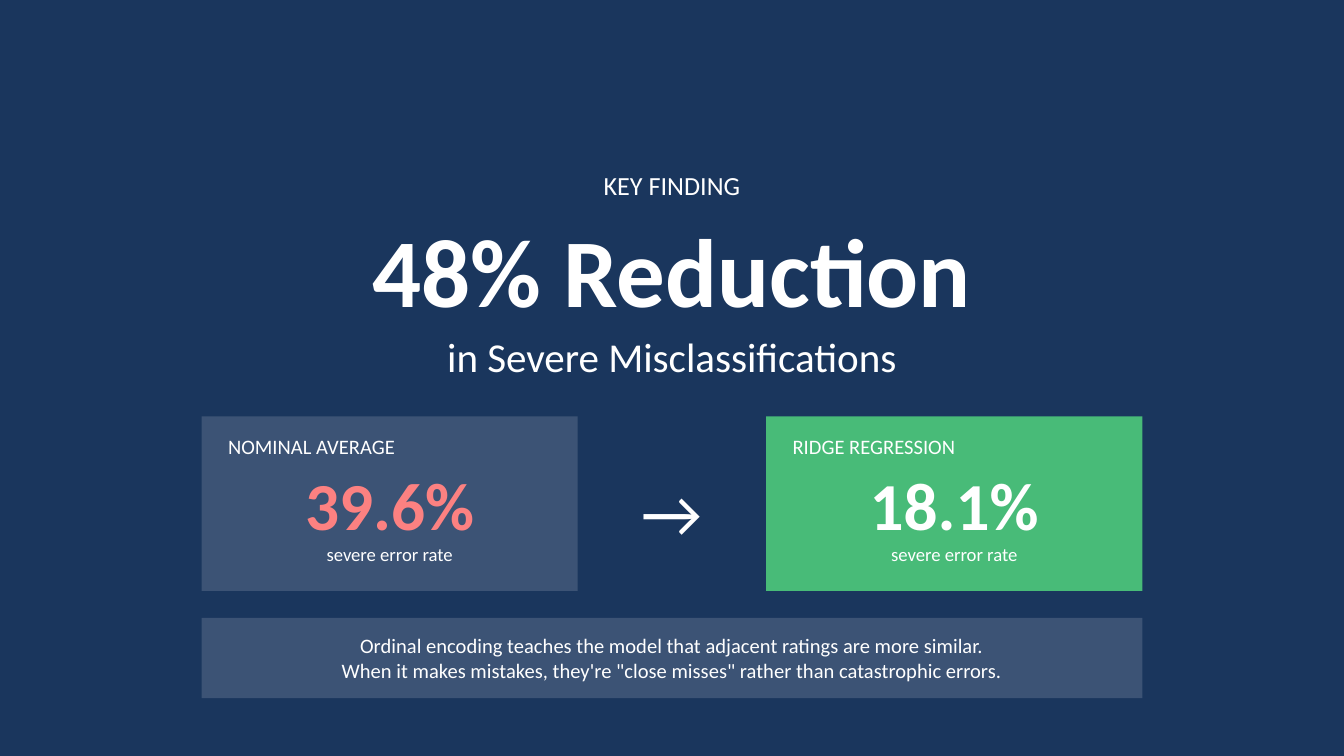
from lxml import etree
from pptx import Presentation
from pptx.dml.color import RGBColor
from pptx.enum.shapes import MSO_SHAPE
from pptx.enum.text import MSO_ANCHOR, MSO_AUTO_SIZE, PP_ALIGN
from pptx.oxml.ns import qn
from pptx.util import Cm, Pt

RECT = MSO_SHAPE.RECTANGLE
MIDDLE = MSO_ANCHOR.MIDDLE
NO_FIT = MSO_AUTO_SIZE.NONE
LEFT, CENTER = PP_ALIGN.LEFT, PP_ALIGN.CENTER

# Content
FONT = "Calibri"
COLORS = {"navy": "1A365D", "white": "FFFFFF", "red": "FC8181", "green": "48BB78"}
KICKER = "KEY FINDING"
TITLE = "48% Reduction"
SUBTITLE = "in Severe Misclassifications"
ARROW = "→"
# label, value, caption, value colour, fill colour, opacity in percent
CARDS = [
    ("NOMINAL AVERAGE", "39.6%", "severe error rate", "red", "white", 15),
    ("RIDGE REGRESSION", "18.1%", "severe error rate", "white", "green", 100),
]
EXPLANATION = [
    "Ordinal encoding teaches the model that adjacent ratings are more similar.",
    "When it makes mistakes, they're \"close misses\" rather than catastrophic errors.",
]

# Layout in centimetres
SLIDE_W, SLIDE_H = 25.4, 14.29
MARGIN = 1.27
HEAD_W = SLIDE_W - 2 * MARGIN
BAND_X, BAND_W = 3.81, 17.78
CARD_Y, CARD_W, CARD_H = 7.87, 7.11, 3.3
NOTE_Y, NOTE_H = 11.68, 1.52
PAD = 0.25
ARROW_W = 2.54


def rgb(name):
    return RGBColor.from_string(COLORS[name])


def write(sp, lines, size, color="white", bold=False, align=CENTER):
    tf = sp.text_frame
    tf.text = "\n".join(lines)
    tf.word_wrap = True
    tf.auto_size = NO_FIT
    tf.vertical_anchor = MIDDLE
    for p in tf.paragraphs:
        p.alignment = align
        for r in p.runs:
            r.font.name, r.font.size, r.font.bold = FONT, Pt(size), bold
            r.font.color.rgb = rgb(color)


def add_text(s, x, y, w, h, lines, size, **style):
    sp = s.shapes.add_textbox(Cm(x), Cm(y), Cm(w), Cm(h))
    write(sp, lines, size, **style)


def add_panel(s, x, y, w, h, color, opacity):
    sp = s.shapes.add_shape(RECT, Cm(x), Cm(y), Cm(w), Cm(h))
    sp.shadow.inherit = False
    sp.line.fill.background()
    sp.fill.solid()
    sp.fill.fore_color.rgb = rgb(color)
    if opacity < 100:
        clr = sp.fill._xPr.find(".//" + qn("a:srgbClr"))
        etree.SubElement(clr, qn("a:alpha")).set("val", str(opacity * 1000))


def main():
    prs = Presentation()
    prs.slide_width, prs.slide_height = Cm(SLIDE_W), Cm(SLIDE_H)
    s = prs.slides.add_slide(prs.slide_layouts[5])
    s.background.fill.solid()
    s.background.fill.fore_color.rgb = rgb("navy")

    # Headline
    add_text(s, MARGIN, 3.05, HEAD_W, 0.89, [KICKER], 14)
    title = s.shapes.title
    title.left, title.top = Cm(MARGIN), Cm(4.06)
    title.width, title.height = Cm(HEAD_W), Cm(2.03)
    write(title, [TITLE], 52, bold=True)
    add_text(s, MARGIN, 6.1, HEAD_W, 1.27, [SUBTITLE], 22)

    # Cards at both ends of the band
    step = (BAND_W - CARD_W) / (len(CARDS) - 1)
    for i, (label, value, caption, color, fill, opacity) in enumerate(CARDS):
        x = BAND_X + i * step
        add_panel(s, x, CARD_Y, CARD_W, CARD_H, fill, opacity)
        x, w = x + PAD, CARD_W - 2 * PAD
        add_text(s, x, CARD_Y + PAD, w, 0.64, [label], 11, align=LEFT)
        add_text(s, x, CARD_Y + 1.02, w, 1.27, [value], 36, color=color, bold=True)
        add_text(s, x, CARD_Y + 2.29, w, 0.64, [caption], 10)

    # Arrow between the cards
    add_text(s, (SLIDE_W - ARROW_W) / 2, 8.64, ARROW_W, 2.03, [ARROW], 36)

    # Explanation
    add_panel(s, BAND_X, NOTE_Y, BAND_W, NOTE_H, "white", 15)
    add_text(s, BAND_X + PAD, NOTE_Y + PAD / 2, BAND_W - 2 * PAD, NOTE_H - PAD,
             EXPLANATION, 11)

    prs.save("out.pptx")


if __name__ == "__main__":
    main()
